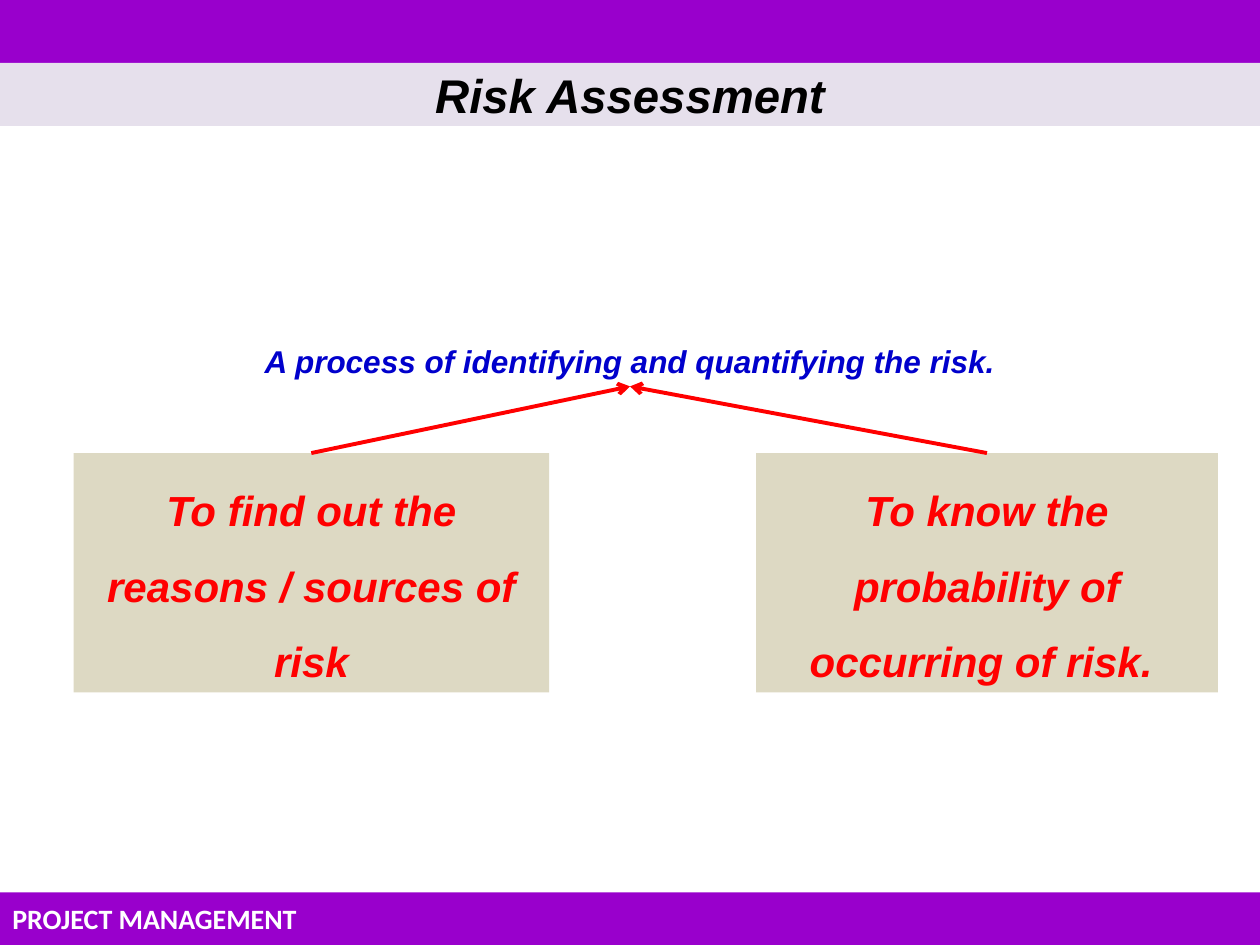
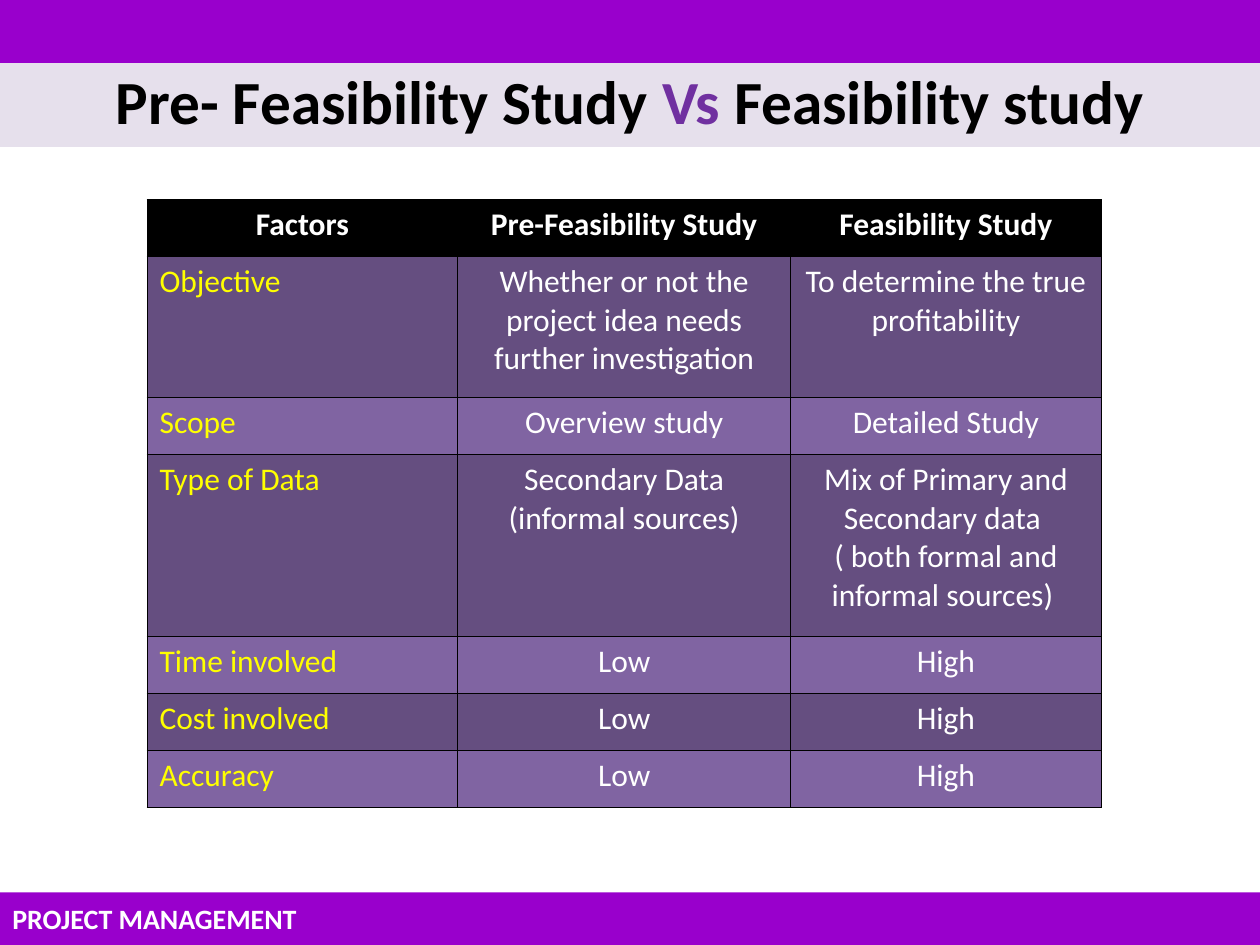
from lxml.etree import SubElement
from pptx import Presentation
from pptx.dml.color import RGBColor
from pptx.enum.shapes import MSO_CONNECTOR, MSO_SHAPE
from pptx.enum.text import MSO_ANCHOR, PP_ALIGN
from pptx.oxml.ns import qn
from pptx.util import Inches, Pt

# Grid of 120 columns by 90 rows: one unit is a twelfth of an inch.
COLUMNS, ROWS = 120, 90
BAND_ROWS, FOOTER_ROWS = 6, 5

BLACK, WHITE, RED, YELLOW = "000000", "FFFFFF", "FF0000", "FFFF00"
BLUE, VIOLET = "0000CC", "7030A0"
BAND, TITLE_FILL, BOX_FILL = "9900CC", "E6E0EC", "DDD9C3"
ROW_FILLS = ("654E80", "8064A2")

COMPARISON = [
    ("Factors", "Pre-Feasibility Study", "Feasibility Study"),
    ("Objective", "Whether or not the project idea needs further investigation",
     "To determine the true profitability"),
    ("Scope", "Overview study", "Detailed Study"),
    ("Type of Data", "Secondary Data (informal sources)",
     "Mix of Primary and Secondary data \n( both formal and informal sources) "),
    ("Time involved", "Low", "High"),
    ("Cost involved", "Low", "High"),
    ("Accuracy", "Low", "High"),
]
COLUMN_WIDTHS = (29.6, 31.7, 29.6)
LINE_ROW = 5.43
ROW_HEIGHTS = {1: 13.43, 3: 17.35}


def color(hex_string):
    return RGBColor.from_string(hex_string)


def grid(*units):
    return [Inches(unit / 12) for unit in units]


def format_text(text_frame, size, text_color, font="Arial", bold=True,
                italic=False, align=PP_ALIGN.CENTER, spacing=None):
    for paragraph in text_frame.paragraphs:
        paragraph.alignment = align
        paragraph.line_spacing = spacing
        for run in paragraph.runs:
            run.font.name = font
            run.font.size = Pt(size)
            run.font.bold = bold
            run.font.italic = italic
            run.font.color.rgb = color(text_color)


def add_box(slide, left, top, width, height, fill, anchor=MSO_ANCHOR.MIDDLE):
    """Add a plain filled rectangle and return its text frame."""
    shape = slide.shapes.add_shape(MSO_SHAPE.RECTANGLE, *grid(left, top, width, height))
    shape.shadow.inherit = False
    shape.fill.solid()
    shape.fill.fore_color.rgb = color(fill)
    shape.line.fill.background()
    shape.text_frame.word_wrap = True
    shape.text_frame.vertical_anchor = anchor
    return shape.text_frame


def add_framed_slide(presentation):
    """Add a blank slide with the top band and the footer."""
    slide = presentation.slides.add_slide(presentation.slide_layouts[6])
    add_box(slide, 0, 0, COLUMNS, BAND_ROWS, BAND)
    footer = add_box(slide, 0, ROWS - FOOTER_ROWS, COLUMNS, FOOTER_ROWS, BAND)
    footer.text = "PROJECT MANAGEMENT"
    format_text(footer, 16, WHITE, "Calibri", align=PP_ALIGN.LEFT)
    return slide


def add_title(slide, parts, height, size, **style):
    """Write the title from (text, colour) parts on the pale band."""
    title = add_box(slide, 0, BAND_ROWS, COLUMNS, height, TITLE_FILL)
    paragraph = title.paragraphs[0]
    for text, _ in parts:
        paragraph.add_run().text = text
    format_text(title, size, BLACK, **style)
    for run, (_, part_color) in zip(paragraph.runs, parts):
        run.font.color.rgb = color(part_color)


def add_arrow(slide, start, end):
    connector = slide.shapes.add_connector(MSO_CONNECTOR.STRAIGHT, *grid(*start, *end))
    connector.line.color.rgb = color(RED)
    connector.line.width = Pt(2.25)
    SubElement(connector.line._get_or_add_ln(), qn("a:tailEnd"), type="arrow")
    SubElement(connector._element.spPr, qn("a:effectLst"))


def add_purpose(slide, text, left, width, target):
    """Add a purpose box with an arrow from its top centre to the target."""
    top = 43.15
    text_frame = add_box(slide, left, top, width, 22.8, BOX_FILL, MSO_ANCHOR.TOP)
    text_frame.text = text
    format_text(text_frame, 24, RED, italic=True, spacing=1.5)
    add_arrow(slide, (left + width / 2, top), target)


def style_cell(cell, text, fill, text_color, bold, align):
    cell.text = text
    cell.fill.solid()
    cell.fill.fore_color.rgb = color(fill)
    format_text(cell.text_frame, 18, text_color, "Calibri", bold, align=align)
    properties = cell._tc.get_or_add_tcPr()
    for index, side in enumerate(("lnL", "lnR", "lnT", "lnB")):
        border = properties.makeelement(qn(f"a:{side}"), {"w": str(Pt(0.45))})
        line_fill = SubElement(border, qn("a:solidFill"))
        SubElement(line_fill, qn("a:srgbClr"), val=BLACK)
        properties.insert(index, border)


def add_comparison_table(slide, left, top):
    heights = [ROW_HEIGHTS.get(row, LINE_ROW) for row in range(len(COMPARISON))]
    table = slide.shapes.add_table(
        len(heights), len(COLUMN_WIDTHS),
        *grid(left, top, sum(COLUMN_WIDTHS), sum(heights))).table
    for column, width in zip(table.columns, grid(*COLUMN_WIDTHS)):
        column.width = width
    for row, height in zip(table.rows, grid(*heights)):
        row.height = height
    for row, texts in enumerate(COMPARISON):
        header = row == 0
        fill = BLACK if header else ROW_FILLS[(row - 1) % 2]
        for column, text in enumerate(texts):
            factor = column == 0 and not header
            style_cell(table.cell(row, column), text, fill,
                       YELLOW if factor else WHITE, header,
                       PP_ALIGN.LEFT if factor else PP_ALIGN.CENTER)


def build_risk_slide(presentation):
    slide = add_framed_slide(presentation)
    add_title(slide, [("Risk Assessment", BLACK)], 6, 27, italic=True)

    definition = slide.shapes.add_textbox(*grid(9, 30.15, 102, 6.65)).text_frame
    definition.word_wrap = True
    definition.text = "A process of identifying and quantifying the risk."
    format_text(definition, 18, BLUE, italic=True, spacing=1.5)

    target = (COLUMNS / 2, 36.8)
    add_purpose(slide, "To find out the reasons / sources of risk", 7, 45.3, target)
    add_purpose(slide, "To know the probability of occurring of risk. ", 72, 44, target)


def build_feasibility_slide(presentation):
    slide = add_framed_slide(presentation)
    parts = [("Pre- Feasibility Study ", BLACK), ("Vs", VIOLET),
             (" Feasibility study", BLACK)]
    add_title(slide, parts, 8, 35, font="Calibri", spacing=0.9)
    add_comparison_table(slide, 14, 19)


def main():
    presentation = Presentation()
    presentation.slide_width, presentation.slide_height = grid(COLUMNS, ROWS)
    build_risk_slide(presentation)
    build_feasibility_slide(presentation)
    presentation.save("out.pptx")


if __name__ == "__main__":
    main()
